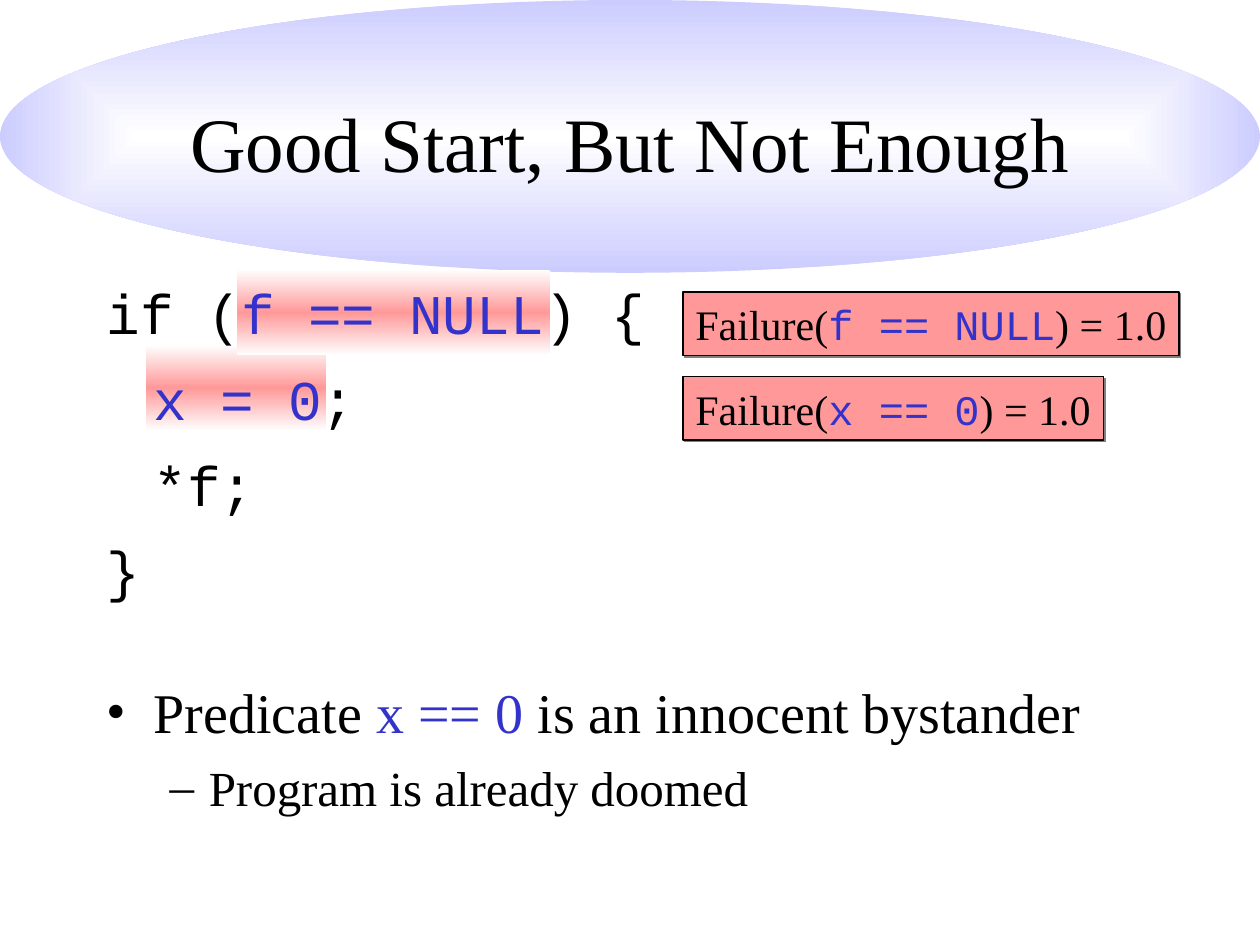
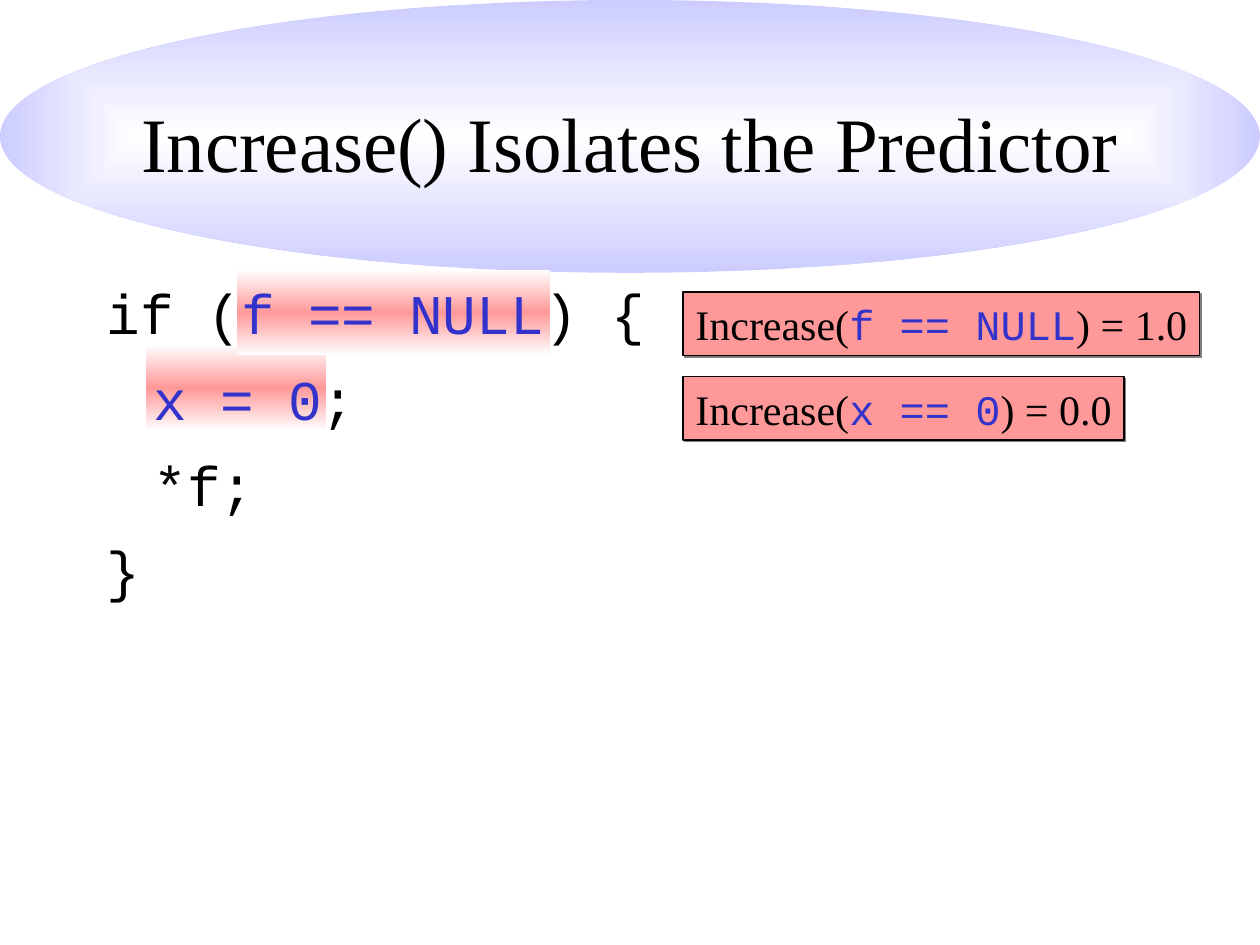
from pptx import Presentation
from pptx import util as u
from pptx.dml.color import RGBColor
from pptx.enum import shapes, text
from pptx.oxml import parse_xml
from pptx.oxml import ns

SERIF, MONO = "Times New Roman", "Courier New"
BLACK, WHITE, BLUE = "000000", "FFFFFF", "3333CC"
LAVENDER, PINK, NEAR_WHITE, GREY = "CCCCFF", "FF9999", "FEFEFE", "808080"

CENTRE_OUT = ('<a:path path="rect"><a:fillToRect l="50000" t="50000" '
              'r="50000" b="50000"/></a:path>')
DOWNWARD = '<a:lin ang="5400000" scaled="0"/>'

CODE_INDENT = u.Cm(0.95)
CODE_LINES = [
    (0, [("if (", BLACK), ("f == NULL", BLUE), (") {", BLACK)]),
    (CODE_INDENT, [("x = 0", BLUE), (";", BLACK)]),
    (CODE_INDENT, [("*f;", BLACK)]),
    (0, [("}", BLACK)]),
]
HIGHLIGHTS = [(2.95, 6.96, 3.63), (4.78, 5.44, 6.3)]  # left, top, width

SLIDES = [
    {"title": "Good Start, But Not Enough", "score": "Failure",
     "results": [("f == NULL", "1.0", 10), ("x == 0", "1.0", 8.48)],
     "remark": True},
    {"title": "Increase() Isolates the Predictor", "score": "Increase",
     "results": [("f == NULL", "1.0", 10.41), ("x == 0", "0.0", 8.89)],
     "remark": False},
]


def color(hex_value):
    return RGBColor.from_string(hex_value)


def drawing_xml(tag, attributes, content):
    return parse_xml(f'<a:{tag} {ns.nsdecls("a")} {attributes}>{content}</a:{tag}>')


def add_plain_shape(slide, kind, left, top, width, height):
    """Add a preset shape, measured in cm, without line or shadow."""
    shape = slide.shapes.add_shape(
        kind, u.Cm(left), u.Cm(top), u.Cm(width), u.Cm(height))
    shape.shadow.inherit = False
    shape.line.fill.background()
    return shape


def fill_gradient(shape, stops, direction):
    """Fill with (percent, colour) stops along the given direction XML."""
    shape.fill.background()
    properties = shape.fill._xPr
    stop_xml = "".join(
        f'<a:gs pos="{percent * 1000}"><a:srgbClr val="{value}"/></a:gs>'
        for percent, value in stops)
    gradient = drawing_xml("gradFill", 'rotWithShape="1"',
                           f"<a:gsLst>{stop_xml}</a:gsLst>{direction}")
    properties.replace(properties.find(ns.qn("a:noFill")), gradient)


def add_text_box(slide, left, top, width, height):
    frame = slide.shapes.add_textbox(
        u.Cm(left), u.Cm(top), u.Cm(width), u.Cm(height)).text_frame
    frame.word_wrap = True
    return frame


def add_run(paragraph, words, size, font=SERIF, ink=BLACK):
    run = paragraph.add_run()
    run.text = words
    for attribute, value in {"name": font, "size": u.Pt(size)}.items():
        setattr(run.font, attribute, value)
    run.font.color.rgb = color(ink)


def next_paragraph(frame):
    """Return the empty first paragraph, or a new one after it."""
    first = frame.paragraphs[0]
    return frame.add_paragraph() if first.runs else first


def indent(paragraph, margin, hanging=0, bullet=None):
    properties = paragraph._p.get_or_add_pPr()
    properties.set("marL", str(int(margin)))
    properties.set("indent", str(-int(hanging)))
    if bullet:
        properties.append(drawing_xml("buFont", f'typeface="{SERIF}"', ""))
        properties.append(drawing_xml("buChar", f'char="{bullet}"', ""))


def add_title(slide, words):
    oval = add_plain_shape(slide, shapes.MSO_SHAPE.OVAL, 0, 0, 25.4, 5.5)
    fill_gradient(oval, [(0, WHITE), (100, LAVENDER)], CENTRE_OUT)
    frame = add_text_box(slide, 1.9, 1.27, 21.6, 3.18)
    frame.vertical_anchor = text.MSO_ANCHOR.MIDDLE
    heading = frame.paragraphs[0]
    heading.alignment = text.PP_ALIGN.CENTER
    add_run(heading, words, 44)


def add_code(slide):
    for left, top, width in HIGHLIGHTS:
        band = add_plain_shape(
            slide, shapes.MSO_SHAPE.RECTANGLE, left, top, width, 1.72)
        fill_gradient(
            band, [(0, NEAR_WHITE), (50, PINK), (100, NEAR_WHITE)], DOWNWARD)
    frame = add_text_box(slide, 1.9, 5.5, 21.6, 7)
    for margin, parts in CODE_LINES:
        line = next_paragraph(frame)
        line.space_before = u.Pt(10.5)
        indent(line, margin)
        for words, ink in parts:
            add_run(line, words, 32, MONO, ink)


def add_result(slide, top, width, score, predicate, value):
    box = add_plain_shape(
        slide, shapes.MSO_SHAPE.RECTANGLE, 13.77, top, width, 1.28)
    box.fill.solid()
    box.fill.fore_color.rgb = color(PINK)
    box.line.color.rgb = color(BLACK)
    box.line.width = u.Pt(0.75)
    box.fill._xPr.find(ns.qn("a:effectLst")).append(drawing_xml(
        "outerShdw", f'dist="{u.Pt(1.4)}" dir="2700000" algn="ctr"',
        f'<a:srgbClr val="{GREY}"/>'))
    frame = box.text_frame
    frame.word_wrap = False
    formula = frame.paragraphs[0]
    formula.alignment = text.PP_ALIGN.LEFT
    add_run(formula, f"{score}(", 24)
    add_run(formula, predicate, 24, MONO, BLUE)
    add_run(formula, f") = {value}", 24)


def add_remark(slide):
    frame = add_text_box(slide, 1.9, 13.54, 21.6, 3.38)
    claim = next_paragraph(frame)
    indent(claim, u.Cm(0.95), u.Cm(0.95), "•")
    add_run(claim, "Predicate ", 32)
    add_run(claim, "x == 0", 32, ink=BLUE)
    add_run(claim, " is an innocent bystander", 32)
    reason = next_paragraph(frame)
    reason.level = 1
    reason.space_before = u.Pt(7)
    indent(reason, u.Cm(2.06), u.Cm(0.79), "–")
    add_run(reason, "Program is already doomed", 28)


def main():
    deck = Presentation()
    deck.slide_width, deck.slide_height = u.Cm(25.4), u.Cm(19.05)
    for content in SLIDES:
        slide = deck.slides.add_slide(deck.slide_layouts[6])
        add_title(slide, content["title"])
        add_code(slide)
        for row, (predicate, value, width) in enumerate(content["results"]):
            add_result(slide, 5.89 + 1.7 * row, width,
                       content["score"], predicate, value)
        if content["remark"]:
            add_remark(slide)
    deck.save("out.pptx")


if __name__ == "__main__":
    main()
